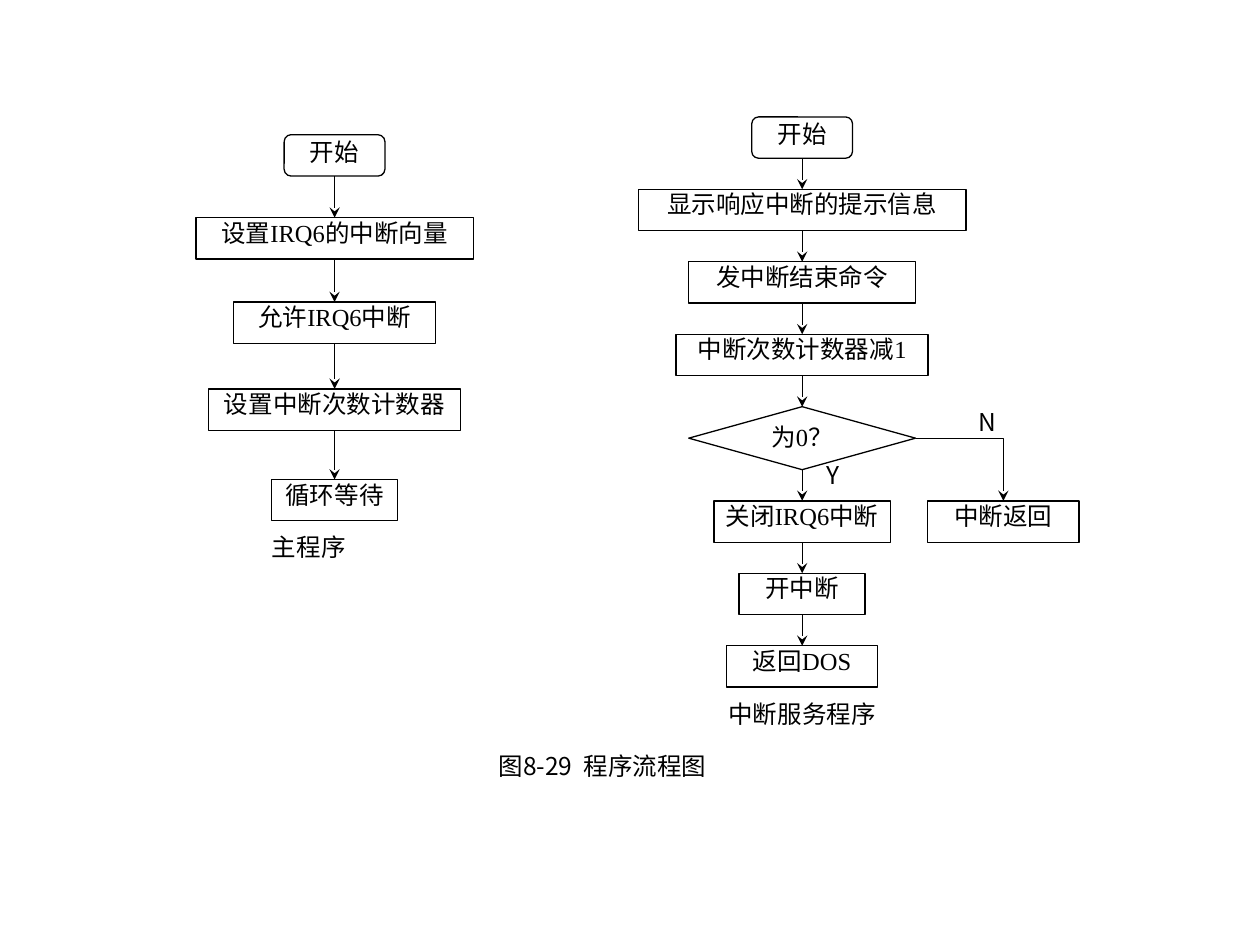
from lxml import etree
from pptx import Presentation
from pptx.dml.color import RGBColor
from pptx.enum.shapes import MSO_CONNECTOR, MSO_SHAPE
from pptx.enum.text import MSO_ANCHOR, PP_ALIGN
from pptx.oxml.ns import qn
from pptx.util import Pt

START = MSO_SHAPE.FLOWCHART_ALTERNATE_PROCESS
STEP = MSO_SHAPE.FLOWCHART_PROCESS
TEST = MSO_SHAPE.FLOWCHART_DECISION
STRAIGHT, ELBOW = MSO_CONNECTOR.STRAIGHT, MSO_CONNECTOR.ELBOW
LEFT, CENTER = PP_ALIGN.LEFT, PP_ALIGN.CENTER
TOP = MSO_ANCHOR.TOP
SITE_TOP, SITE_BOTTOM, SITE_RIGHT = 0, 2, 3

COLORS = {"ink": "000000", "paper": "FFFFFF"}
SERIF, SANS = "Times New Roman", "Noto Sans CJK SC"
BOX_H, TEST_H = 23.6, 36


def color(name):
    return RGBColor.from_string(COLORS[name])


def write(shape, text, font, align):
    tf = shape.text_frame
    tf.word_wrap = True
    tf.vertical_anchor = TOP
    tf.margin_left = tf.margin_right = tf.margin_top = tf.margin_bottom = 0
    p = tf.paragraphs[0]
    p.text = text
    p.alignment = align
    p.font.name = font
    p.font.size = Pt(14)
    p.font.color.rgb = color("ink")


def add_label(s, text, x, y, w, font=SERIF, align=LEFT):
    write(s.shapes.add_textbox(Pt(x), Pt(y), Pt(w), Pt(BOX_H)), text, font, align)


def add_node(s, kind, text, center, y, w):
    h = TEST_H if kind == TEST else BOX_H
    sp = s.shapes.add_shape(kind, Pt(center - w / 2), Pt(y), Pt(w), Pt(h))
    sp.shadow.inherit = False
    sp.fill.solid()
    sp.fill.fore_color.rgb = color("paper")
    sp.line.color.rgb = color("ink")
    sp.line.width = Pt(0.75)
    write(sp, text, SERIF, CENTER)
    return sp


def add_arrow(s, start, end, kind=STRAIGHT, site=SITE_BOTTOM):
    c = s.shapes.add_connector(kind, 0, 0, 0, 0)
    c.begin_connect(start, site)
    c.end_connect(end, SITE_TOP)
    c.line.color.rgb = color("ink")
    c.line.width = Pt(0.75)
    etree.SubElement(c.line._get_or_add_ln(), qn("a:tailEnd"), type="stealth")
    sp_pr = c._element.spPr
    etree.SubElement(sp_pr, qn("a:effectLst"))
    if kind == ELBOW:
        sp_pr.find(qn("a:prstGeom")).set("prst", "bentConnector2")


def add_flow(s, steps, center, y, gaps):
    nodes = []
    for (kind, text, w), gap in zip(steps, gaps):
        sp = add_node(s, kind, text, center, y, w)
        if nodes:
            add_arrow(s, nodes[-1], sp)
        nodes.append(sp)
        y += sp.height.pt + gap
    return nodes


def add_main_program(s, x, y, w):
    steps = [
        (START, "开始", 57.6),
        (STEP, "设置IRQ6的中断向量", 158.4),
        (STEP, "允许IRQ6中断", 115.2),
        (STEP, "设置中断次数计数器", 144),
        (STEP, "循环等待", 72),
    ]
    add_flow(s, steps, x + w / 2, y, [23.8, 24.6, 26, 28.2, 0])
    add_label(s, "主程序", x + 43.4, y + 227, 85.7)


def add_interrupt_service(s, x, y, w):
    steps = [
        (START, "开始", 57.6),
        (STEP, "显示响应中断的提示信息", 187.2),
        (STEP, "发中断结束命令", 129.6),
        (STEP, "中断次数计数器减1", 144),
        (TEST, "为0？", 129.6),
        (STEP, "关闭IRQ6中断", 100.8),
        (STEP, "开中断", 72),
        (STEP, "返回DOS", 86.4),
    ]
    center = x + w / 2
    nodes = add_flow(s, steps, center, y, [17.8] * len(steps))
    test, close = nodes[4:6]
    back = add_node(s, STEP, "中断返回", center + 115, close.top.pt, 86.4)
    add_arrow(s, test, back, ELBOW, SITE_RIGHT)
    add_label(s, "Y", center + 14, test.top.pt + 30.2, 14.4, SANS)
    add_label(s, "N", center + 101, test.top.pt, 14.4, SANS)
    add_label(s, "中断服务程序", center - 43.2, y + 332.8, 86.4, align=CENTER)


def main():
    prs = Presentation()
    prs.slide_width, prs.slide_height = Pt(720), Pt(540)
    s = prs.slides.add_slide(prs.slide_layouts[6])
    add_main_program(s, 112, 77, 158.4)
    add_interrupt_service(s, 364.8, 66.8, 187.2)
    add_label(s, "图8-29  程序流程图", 285, 429, 144, SANS)
    prs.save("out.pptx")


if __name__ == "__main__":
    main()
